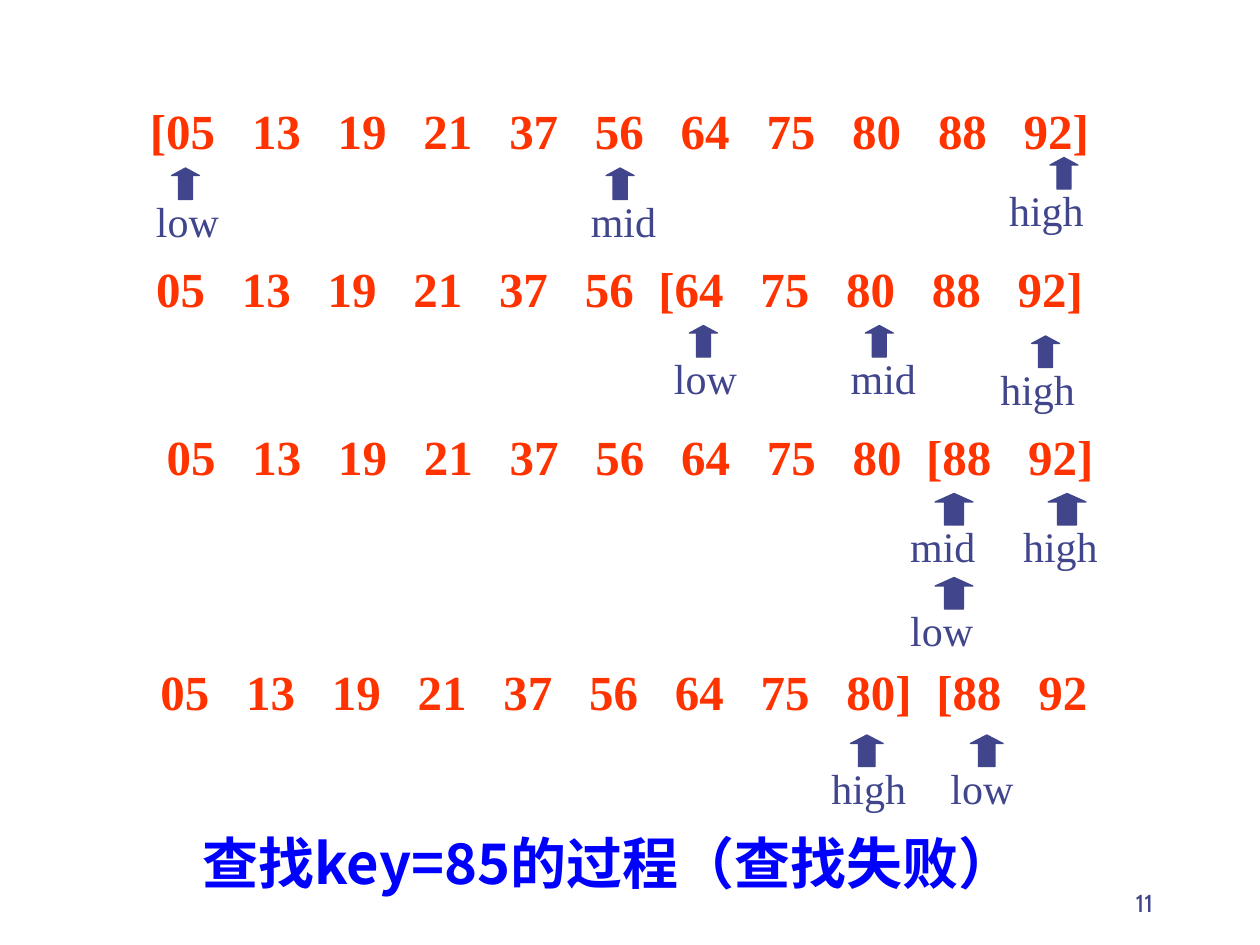
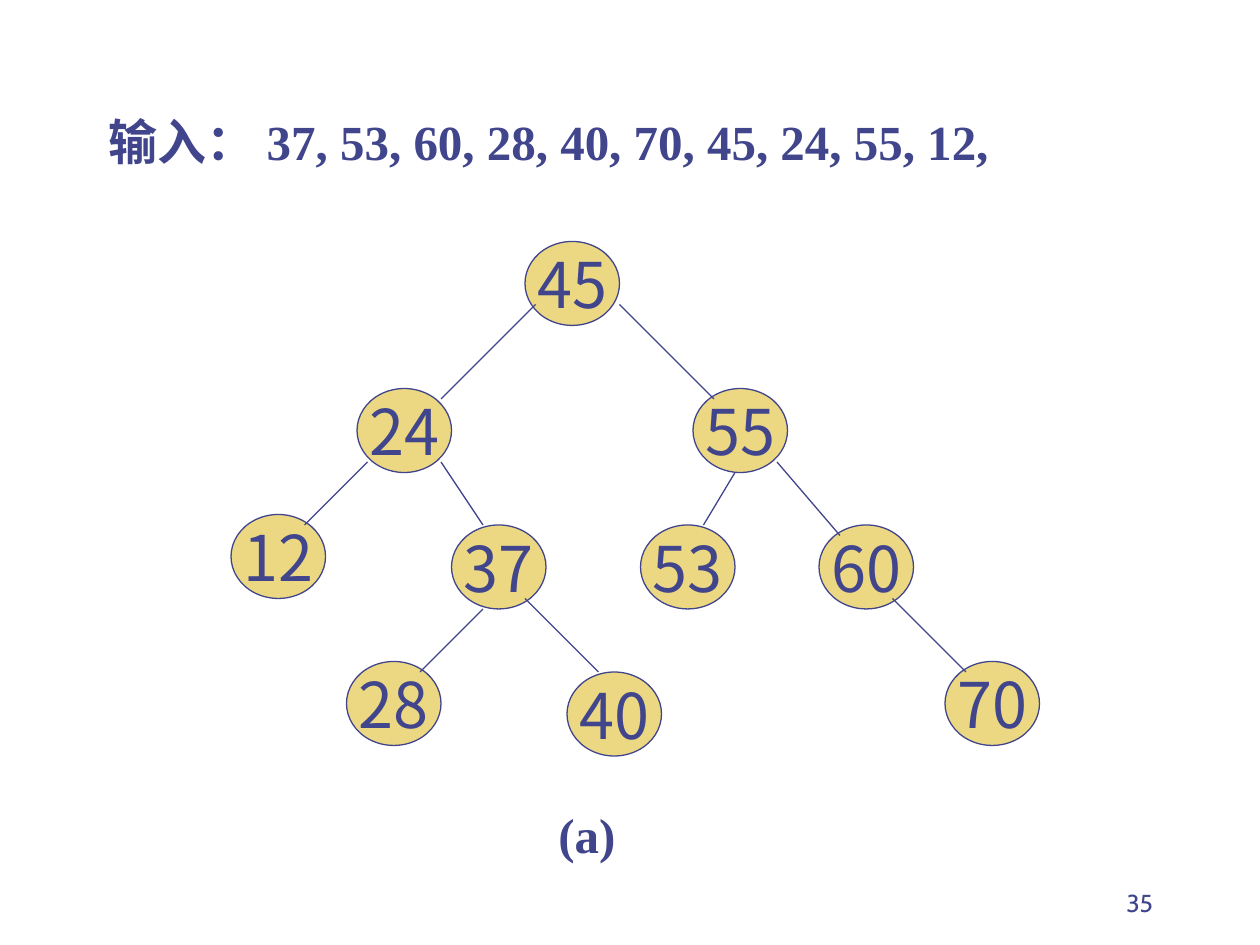
import pptx
import pptx.util
import pptx.dml.color
import pptx.enum.shapes
import pptx.enum.text
from dataclasses import dataclass
from lxml import etree

Pt = pptx.util.Pt
Shape = pptx.enum.shapes.MSO_SHAPE
Align = pptx.enum.text.PP_ALIGN
Anchor = pptx.enum.text.MSO_ANCHOR
Fit = pptx.enum.text.MSO_AUTO_SIZE
NS = "http://schemas.openxmlformats.org/drawingml/2006/main"


@dataclass(frozen=True)
class Theme:
    ink: str = "40458C"
    red: str = "FF3300"
    blue: str = "0000FF"
    gold: str = "ECD882"
    serif: str = "Times New Roman"
    asian: str = "Noto Sans CJK SC"
    digit: str = "Noto Sans CJK JP"
    page: str = "Cabin"
    small: int = 14
    label: int = 24
    body: int = 28
    title: int = 32
    node: int = 36
    line: float = 0.75
    inset: float = 7.2


T = Theme()

# Each row: text, box left, box top, label width, arrow width, pointers.
# Each pointer: word, label left, arrow left, arrow top.
ROWS = [
    ("[05 13 19 21 37 56 64 75 80 88 92]", 18, 54, 62, 16,
     [("low", 82, 98, 96), ("high", 569.5, 600, 90), ("mid", 330.5, 346.4, 96)]),
    ("05 13 19 21 37 56 [64 75 80 88 92]", 18, 144, 62, 16,
     [("mid", 479, 494.5, 186), ("low", 378, 394, 186), ("high", 564.5, 589.5, 192)]),
    ("05 13 19 21 37 56 64 75 80 [88 92]", 24, 240, 71, 21.6,
     [("mid", 513, 534.4, 282), ("low", 513, 534.4, 330), ("high", 577.5, 599, 282)]),
    ("05 13 19 21 37 56 64 75 80] [88 92", 20.5, 374.5, 62, 18.7,
     [("low", 536, 554.5, 420), ("high", 468, 486, 420)]),
]

# Each node: key, left, top, then the ends of the edge from its parent.
NODES = [
    ("45", 300, 138, None),
    ("24", 204, 222, (306, 174, 252, 228)),
    ("55", 396, 222, (354, 174, 408, 228)),
    ("12", 132, 294, (210, 264, 174, 300)),
    ("37", 258, 300, (252, 264, 276, 300)),
    ("60", 468, 300, (444, 264, 480, 306)),
    ("53", 366, 300, (420, 270, 402, 300)),
    ("28", 198, 378, (276, 348, 240, 384)),
    ("40", 324, 384, (300, 342, 342, 384)),
    ("70", 540, 378, (510, 342, 552, 384)),
]


def rgb(code):
    return pptx.dml.color.RGBColor.from_string(code)


def write(frame, text, size=T.body, color=T.ink, face=T.serif, bold=False,
          align=Align.LEFT, anchor=Anchor.TOP, left=T.inset, wrap=True):
    """Fill a text frame with one formatted paragraph and return it."""
    frame.word_wrap = wrap
    frame.vertical_anchor = anchor
    frame.margin_left = Pt(left)
    para = frame.paragraphs[0]
    para.alignment = align
    run = para.add_run()
    run.text = text
    font = run.font
    font.size, font.bold, font.name = Pt(size), bold, face
    font.color.rgb = rgb(color)
    latin = run._r.get_or_add_rPr().find(f"{{{NS}}}latin")
    latin.addnext(etree.Element(f"{{{NS}}}ea", typeface=T.asian))
    return para


def label(shapes, text, x, y, w, h, grow=True, **style):
    frame = shapes.add_textbox(Pt(x), Pt(y), Pt(w), Pt(h)).text_frame
    para = write(frame, text, **style)
    frame.auto_size = Fit.SHAPE_TO_FIT_TEXT if grow else Fit.NONE
    return para


def figure(shapes, kind, x, y, w, h, fill):
    shape = shapes.add_shape(kind, Pt(x), Pt(y), Pt(w), Pt(h))
    shape.shadow.inherit = False
    shape.fill.solid()
    shape.fill.fore_color.rgb = rgb(fill)
    shape.line.color.rgb = rgb(T.ink)
    shape.line.width = Pt(T.line)
    return shape


def edge(shapes, *ends):
    line = shapes.add_connector(
        pptx.enum.shapes.MSO_CONNECTOR.STRAIGHT, *map(Pt, ends))
    line.line.color.rgb = rgb(T.ink)
    line.line.width = Pt(T.line)
    etree.SubElement(line._element.spPr, f"{{{NS}}}effectLst")


def keys(shapes, text, x, y, wide=672):
    """Centre a row of keys, with a tab stop at the start of each key."""
    digit, space, mark = T.body / 2, T.body / 4, T.body / 3
    words = text.split()
    stops, end = [0], 0
    for word, after in zip(words, words[1:] + [""]):
        end += sum(digit if c.isdigit() else mark for c in word)
        if after:
            end += space * (2 if after[0] == "[" else 3)
            stops.append(end)
    para = label(shapes, "\t".join(words), x, y, wide, 41,
                 color=T.red, bold=True, left=(wide - end) / 2)
    tabs = etree.SubElement(para._p.get_or_add_pPr(), f"{{{NS}}}tabLst")
    for stop in stops[1:]:
        etree.SubElement(tabs, f"{{{NS}}}tab", pos=str(Pt(stop)), algn="l")


def pointer(shapes, word, x, tip, y, wide, arrow):
    shape = figure(shapes, Shape.UP_ARROW, tip, y, arrow, 18, T.ink)
    shape.adjustments[1] = 0.27
    label(shapes, word, x, y + 12, wide, 36, size=T.label)


def node(shapes, key, x, y):
    shape = figure(shapes, Shape.OVAL, x, y, 54, 48, T.gold)
    write(shape.text_frame, key, size=T.node, face=T.digit,
          align=Align.CENTER, anchor=Anchor.MIDDLE, wrap=False)


def page(deck, number):
    """Add a blank slide with its number and return its shapes."""
    shapes = deck.slides.add_slide(deck.slide_layouts[6]).shapes
    label(shapes, number, 516, 492, 150, 36, grow=False, size=T.small,
          face=T.page, align=Align.RIGHT, anchor=Anchor.BOTTOM)
    return shapes


def search(deck):
    shapes = page(deck, "11")
    for text, x, y, *_ in ROWS:
        keys(shapes, text, x, y)
    label(shapes, "查找key=85的过程（查找失败）", 90, 470, 516, 46, size=T.title,
          color=T.blue, face=T.asian, bold=True, align=Align.CENTER)
    for *_, wide, arrow, marks in ROWS:
        group = shapes.add_group_shape().shapes
        for mark in marks:
            pointer(group, *mark, wide, arrow)


def tree(deck):
    shapes = page(deck, "35")
    label(shapes, "输入： 37, 53, 60, 28, 40, 70, 45, 24, 55, 12,", 48, 60, 635, 41,
          bold=True, left=T.inset + T.body / 4)
    for key, x, y, ends in NODES:
        if ends:
            group = shapes.add_group_shape().shapes
            node(group, key, x, y)
            edge(group, *ends)
        else:
            node(shapes, key, x, y)
    label(shapes, "(a)", 312, 456, 54, 41, bold=True)


def main():
    deck = pptx.Presentation()
    deck.slide_width, deck.slide_height = Pt(720), Pt(540)
    search(deck)
    tree(deck)
    deck.save("out.pptx")


if __name__ == "__main__":
    main()
